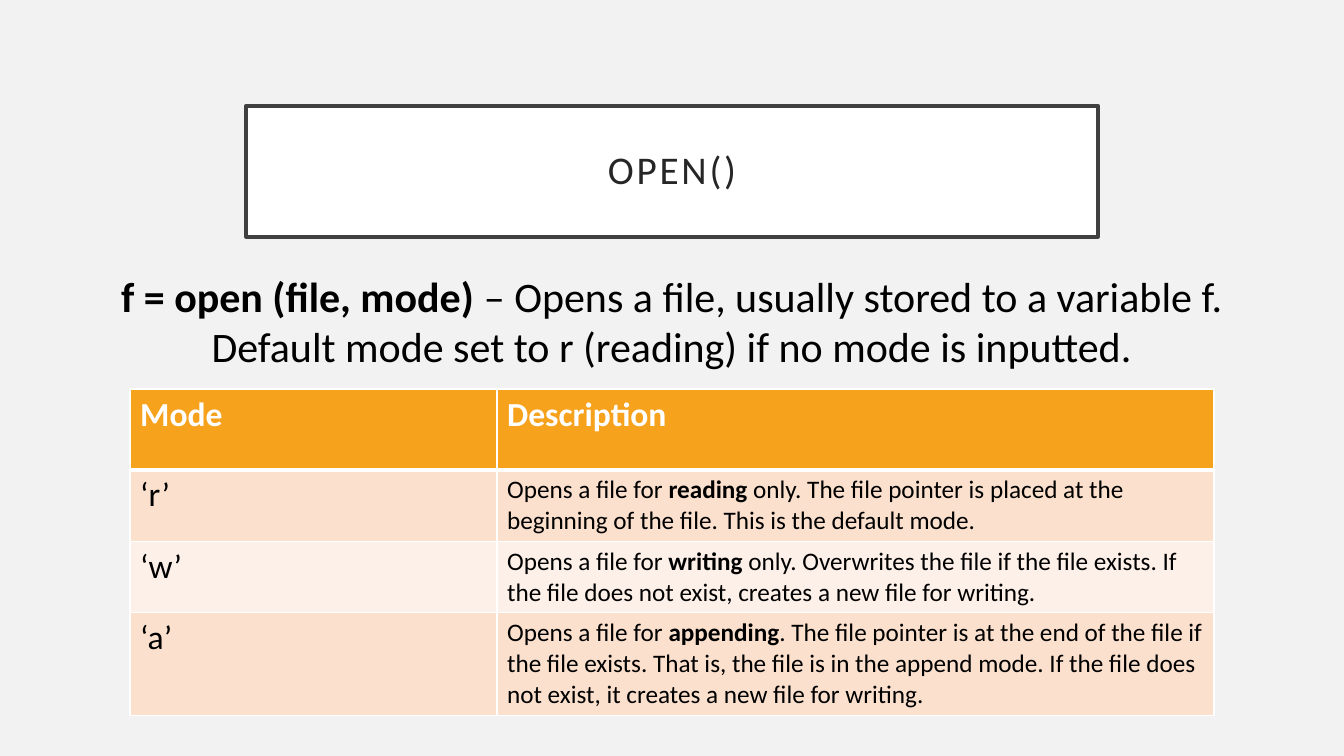
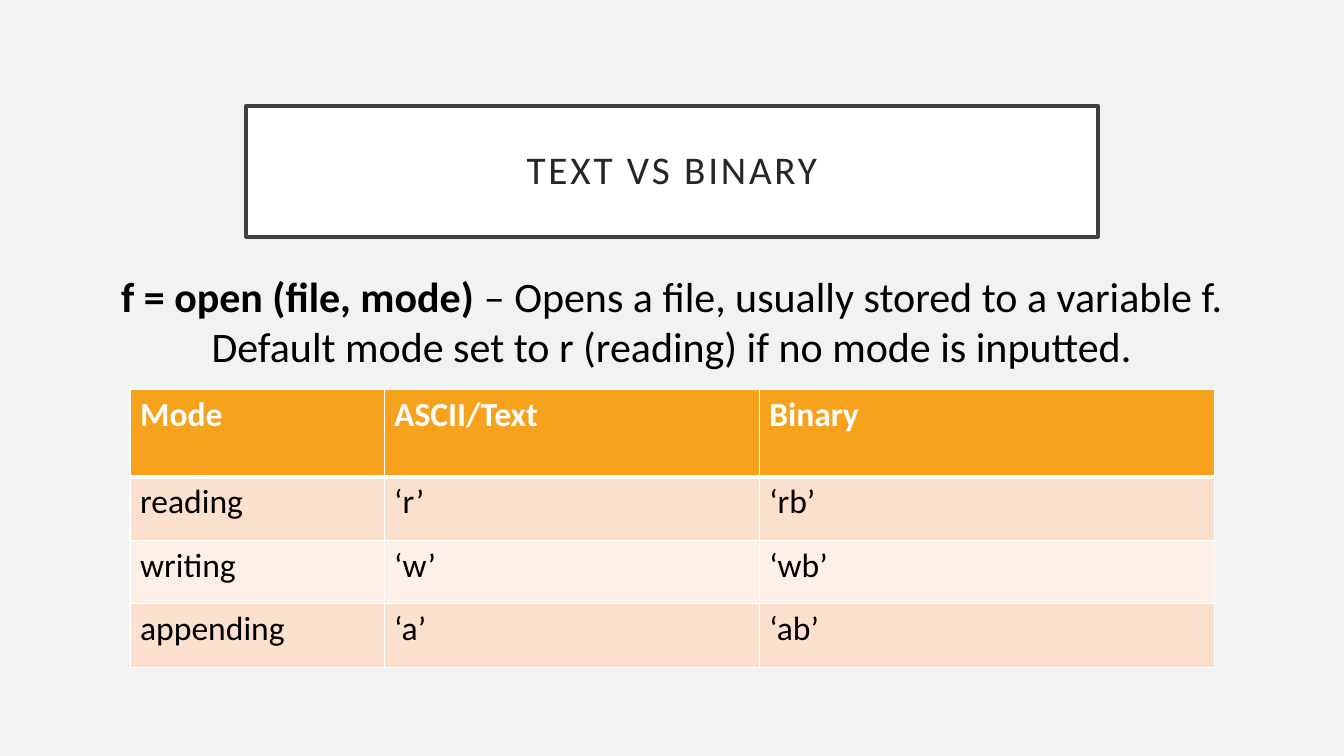
from lxml.etree import SubElement
from pptx import Presentation
from pptx.dml.color import RGBColor
from pptx.enum.shapes import MSO_SHAPE
from pptx.enum.text import MSO_ANCHOR, PP_ALIGN
from pptx.oxml.ns import qn
from pptx.util import Inches, Pt

# Content: *asterisks* enclose bold words
INTRO = ("*f = open (file, mode) *– Opens a file, usually stored to a variable f. "
         "Default mode set to r (reading) if no mode is inputted.")
SLIDES = [
    {
        "title": "OPEN()",
        "columns": [3.64, 7.11],
        "rows": [0.8, 0.71, 0.71, 1.02],
        "body_sizes": [24, 18],
        "cells": [
            ("Mode", "Description"),
            ("‘r’", "Opens a file for *reading* only. The file pointer is placed at the "
                    "beginning of the file. This is the default mode."),
            ("‘w’", "Opens a file for* writing *only. Overwrites the file if the file exists. "
                    "If the file does not exist, creates a new file for writing."),
            ("‘a’", "Opens a file for *appending*. The file pointer is at the end of the file "
                    "if the file exists. That is, the file is in the append mode. If the file "
                    "does not exist, it creates a new file for writing."),
        ],
    },
    {
        "title": "TEXT VS BINARY",
        "columns": [2.52, 3.72, 4.52],
        "rows": [0.87, 0.63, 0.63, 0.63],
        "body_sizes": [24, 24, 24],
        "cells": [
            ("Mode", "ASCII/Text", "Binary"),
            ("reading", "‘r’", "‘rb’"),
            ("writing", "‘w’", "‘wb’"),
            ("appending", "‘a’", "‘ab’"),
        ],
    },
]

# Shared style
FONT = "Calibri"
PAGE, WHITE, BLACK = "F2F2F2", "FFFFFF", "000000"
FRAME, TITLE_INK = "404040", "262626"
HEADER, BANDS = "F6A21D", ("FDF0E8", "FBE0CD")
WIDTH, HEIGHT = 13.33, 7.5
TITLE_SIZE, TITLE_TOP = (8.45, 1.3), 1.05
INTRO_SIZE, INTRO_TOP = (11.2, 1.33), 2.52
TABLE_LEFT, TABLE_TOP = 1.29, 3.86


def color(value):
    return RGBColor.from_string(value)


def paint(fill, value):
    fill.solid()
    fill.fore_color.rgb = color(value)


def centred(size, top):
    width, height = size
    return [Inches(n) for n in ((WIDTH - width) / 2, top, width, height)]


def write(paragraph, text, size, ink, bold=False):
    for index, part in enumerate(text.split("*")):
        if part:
            run = paragraph.add_run()
            run.text = part
            run.font.name, run.font.size = FONT, Pt(size)
            run.font.bold = bold or index % 2 == 1
            run.font.color.rgb = color(ink)


def add_title(slide, text):
    box = slide.shapes.add_shape(MSO_SHAPE.RECTANGLE, *centred(TITLE_SIZE, TITLE_TOP))
    box.shadow.inherit = False
    paint(box.fill, WHITE)
    box.line.color.rgb = color(FRAME)
    box.line.width = Pt(2.5)
    frame = box.text_frame
    frame.vertical_anchor = MSO_ANCHOR.MIDDLE
    frame.margin_left = frame.margin_right = Inches(0.2)
    frame.margin_top = frame.margin_bottom = Inches(0.2)
    paragraph = frame.paragraphs[0]
    paragraph.alignment, paragraph.line_spacing = PP_ALIGN.CENTER, 0.9
    write(paragraph, text, 28, TITLE_INK)
    for run in paragraph.runs:
        run.font._element.set("spc", "200")


def add_intro(slide):
    frame = slide.shapes.add_textbox(*centred(INTRO_SIZE, INTRO_TOP)).text_frame
    frame.word_wrap = True
    frame.vertical_anchor = MSO_ANCHOR.MIDDLE
    paragraph = frame.paragraphs[0]
    paragraph.alignment, paragraph.space_after = PP_ALIGN.CENTER, Pt(10)
    write(paragraph, INTRO, 30, BLACK)


def add_borders(cell, top, bottom):
    properties = cell._tc.get_or_add_tcPr()
    for side, width in (("L", 1), ("R", 1), ("T", top), ("B", bottom)):
        line = SubElement(properties, qn(f"a:ln{side}"), w=str(Pt(width)))
        SubElement(SubElement(line, qn("a:solidFill")), qn("a:srgbClr"), val=WHITE)


def add_mode_table(slide, content):
    columns, rows = content["columns"], content["rows"]
    table = slide.shapes.add_table(
        len(rows), len(columns), Inches(TABLE_LEFT), Inches(TABLE_TOP),
        Inches(sum(columns)), Inches(sum(rows))).table
    table.first_row = table.horz_banding = False
    for column, width in zip(table.columns, columns):
        column.width = Inches(width)
    for row, height in zip(table.rows, rows):
        row.height = Inches(height)
    for r, texts in enumerate(content["cells"]):
        is_header = r == 0
        for c, text in enumerate(texts):
            cell = table.cell(r, c)
            # The rule under the header is thicker
            add_borders(cell, 3 if r == 1 else 1, 3 if is_header else 1)
            paint(cell.fill, HEADER if is_header else BANDS[r % 2])
            size = 24 if is_header else content["body_sizes"][c]
            write(cell.text_frame.paragraphs[0], text, size,
                  WHITE if is_header else BLACK, is_header)


def main():
    deck = Presentation()
    deck.slide_width, deck.slide_height = Inches(WIDTH), Inches(HEIGHT)
    paint(deck.slide_master.background.fill, PAGE)
    blank = deck.slide_layouts[6]
    for content in SLIDES:
        slide = deck.slides.add_slide(blank)
        add_title(slide, content["title"])
        add_intro(slide)
        add_mode_table(slide, content)
    deck.save("out.pptx")


if __name__ == "__main__":
    main()
